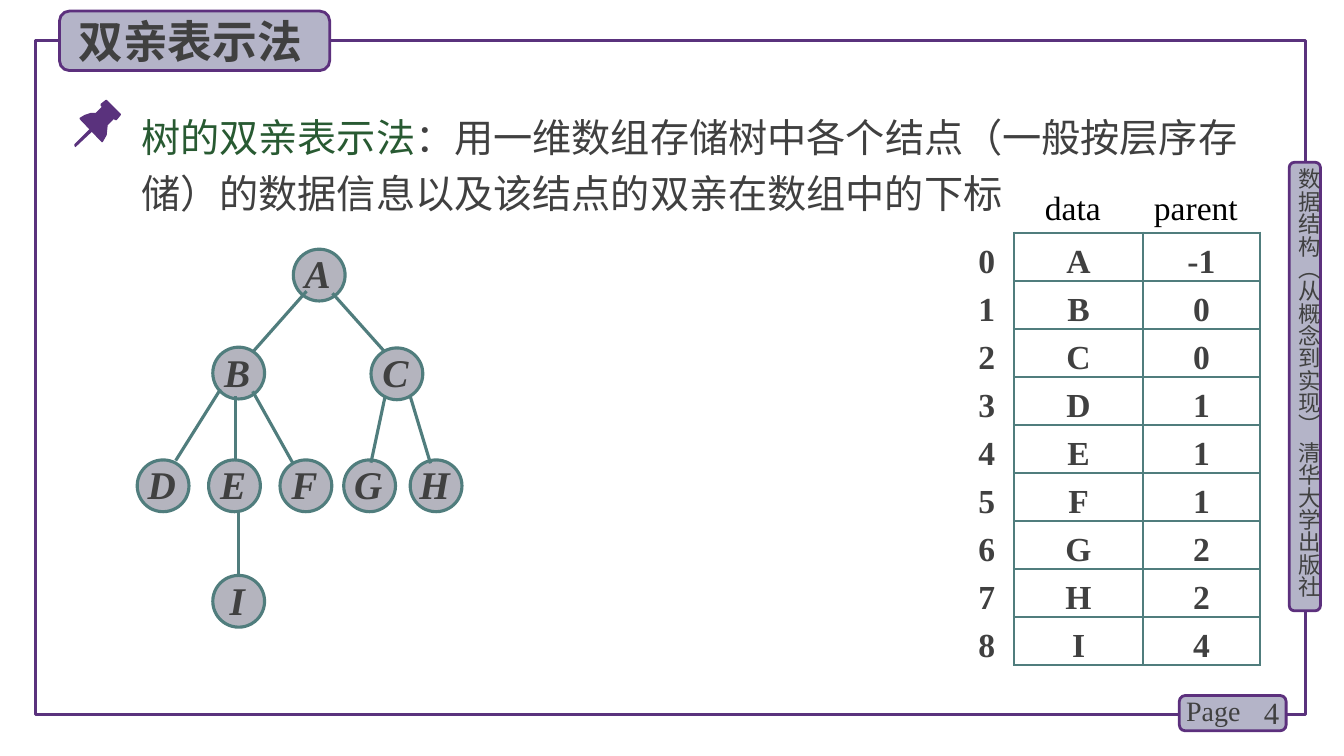
from lxml import etree
from pptx import Presentation
from pptx.dml.color import RGBColor
from pptx.enum.shapes import MSO_CONNECTOR, MSO_SHAPE
from pptx.enum.text import MSO_ANCHOR, PP_ALIGN
from pptx.oxml.ns import qn
from pptx.util import Pt

RECTANGLE, ROUNDED, OVAL = MSO_SHAPE.RECTANGLE, MSO_SHAPE.ROUNDED_RECTANGLE, MSO_SHAPE.OVAL
STRAIGHT = MSO_CONNECTOR.STRAIGHT
TOP, MIDDLE, BOTTOM = MSO_ANCHOR.TOP, MSO_ANCHOR.MIDDLE, MSO_ANCHOR.BOTTOM
LEFT, CENTER, RIGHT = PP_ALIGN.LEFT, PP_ALIGN.CENTER, PP_ALIGN.RIGHT

PURPLE = RGBColor(0x5A, 0x32, 0x7D)
TAB_LINE = RGBColor(0x5C, 0x30, 0x7D)
TAB_FILL = RGBColor(0xB4, 0xB4, 0xC8)
NODE_FILL = RGBColor(0xB4, 0xB4, 0xBE)
TEAL = RGBColor(0x50, 0x7D, 0x7D)
GREEN = RGBColor(0x28, 0x5A, 0x32)
GREY = RGBColor(0x40, 0x40, 0x40)
BLACK = RGBColor(0, 0, 0)
CHINESE, LATIN = "Noto Sans CJK SC", "Times New Roman"
NO_STYLE = "{2D5ABB26-0587-4C30-8999-92F81FD0307C}"

NODE_SIZE = 37
TREE_NODES = {
    "A": (111.5, 0), "B": (54, 70), "C": (167, 70.5),
    "D": (0, 150.5), "E": (51, 150.5), "F": (102, 150.5),
    "G": (147.5, 150.5), "H": (195, 150.5), "I": (54, 233),
}
TREE_EDGES = [
    (121, 30, 82.5, 73.5), (139.5, 31.5, 177, 73.5),
    (59.5, 100, 27.5, 151), (70.5, 105, 70.5, 151), (82.5, 101.5, 111, 152.5),
    (177, 105.5, 167, 152.5), (195, 105, 209.5, 153), (72.5, 188, 72.5, 234),
]
PARENTS = [("A", -1), ("B", 0), ("C", 0), ("D", 1), ("E", 1),
           ("F", 1), ("G", 2), ("H", 2), ("I", 4)]
# Outlines in hundredths of an inch
PIN_HEAD = [(47, 15), (33, 1), (32, 1), (27, 5), (27, 7), (28, 8), (22, 14),
            (17, 14), (11, 16), (6, 19), (6, 20), (28, 43), (29, 43), (33, 36),
            (34, 26), (40, 20), (41, 21), (43, 21), (47, 16)]
PIN_NEEDLE = [(2, 48), (1, 47), (1, 45), (16, 30), (18, 29), (19, 30), (19, 32), (3, 47)]


def style_paragraph(paragraph, size, font_name, color=GREY, bold=False, italic=False, align=LEFT):
    paragraph.alignment = align
    font = paragraph.font
    font.size, font.name, font.bold, font.italic = Pt(size), font_name, bold, italic
    font.color.rgb = color
    defaults = paragraph._p.get_or_add_pPr().find(qn("a:defRPr"))
    etree.SubElement(defaults, qn("a:ea")).set("typeface", font_name)


def set_margins(frame, left, top, right, bottom):
    frame.margin_left, frame.margin_top = Pt(left), Pt(top)
    frame.margin_right, frame.margin_bottom = Pt(right), Pt(bottom)


def add_outlined(slide, preset, box, line_color, line_width, fill=None):
    shape = slide.shapes.add_shape(preset, *map(Pt, box))
    shape.shadow.inherit = False
    shape.line.color.rgb, shape.line.width = line_color, Pt(line_width)
    if fill is None:
        shape.fill.background()
    else:
        shape.fill.solid()
        shape.fill.fore_color.rgb = fill
    return shape


def add_text(slide, box, text, size, font_name, align=LEFT, anchor=TOP):
    shape = slide.shapes.add_textbox(*map(Pt, box))
    frame = shape.text_frame
    frame.word_wrap, frame.vertical_anchor = True, anchor
    frame.text = text
    style_paragraph(frame.paragraphs[0], size, font_name, align=align)
    return shape


def add_tab(slide, box):
    return add_outlined(slide, ROUNDED, box, TAB_LINE, 2, TAB_FILL)


def add_title(slide, box):
    frame = add_tab(slide, box).text_frame
    set_margins(frame, 0, 0, 6, 0)
    frame.vertical_anchor = MIDDLE
    frame.text = "双亲表示法"
    style_paragraph(frame.paragraphs[0], 32, CHINESE, bold=True, align=CENTER)


def add_side_tab(slide, left, top, width, height):
    add_tab(slide, (left, top, width, height))
    label = add_text(slide, (left + 4.3, top + 4.3, 19.4, height + 3),
                     "数据结构（从概念到实现） 清华大学出版社", 16, CHINESE)
    set_margins(label.text_frame, 0, 0, 0, 0)
    label.element.txBody.bodyPr.set("vert", "eaVert")


def add_page_tab(slide, left, top, width, height):
    add_tab(slide, (left, top, width, height))
    add_text(slide, (left + 36, top - 3, 42.5, height + 4), "4", 22, LATIN, RIGHT, MIDDLE)
    label = add_text(slide, (left - 2.2, top - 5, 56, height + 6.5), "Page", 20, LATIN)
    label.text_frame.word_wrap = False


def add_pin(slide, left, top):
    for outline in (PIN_HEAD, PIN_NEEDLE):
        builder = slide.shapes.build_freeform(*outline[0], scale=Pt(0.72))
        builder.add_line_segments(outline[1:], close=True)
        shape = builder.convert_to_shape(Pt(left), Pt(top))
        shape.shadow.inherit = False
        shape.fill.solid()
        shape.fill.fore_color.rgb = PURPLE
        shape.line.fill.background()


def add_definition(slide, left, top, width, height):
    add_pin(slide, left, top)
    frame = add_text(slide, (left + 45.4, top + 0.7, width - 45.4, height),
                     "", 28, CHINESE).text_frame
    set_margins(frame, 3, 3.6, 0, 3.6)
    paragraph = frame.paragraphs[0]
    paragraph.line_spacing = Pt(40)
    term = paragraph.add_run()
    term.text = "树的双亲表示法"
    term.font.color.rgb = GREEN
    paragraph.add_run().text = (
        "：用一维数组存储树中各个结点（一般按层序存储）的数据信息以及该结点的双亲在数组中的下标")


def add_tree(slide, left, top):
    for letter, (x, y) in TREE_NODES.items():
        node = add_outlined(slide, OVAL, (left + x, top + y, NODE_SIZE, NODE_SIZE),
                            TEAL, 2.25, NODE_FILL)
        frame = node.text_frame
        set_margins(frame, 1, 1.5, 3, 3)
        frame.word_wrap, frame.vertical_anchor = False, TOP
        frame.text = letter
        paragraph = frame.paragraphs[0]
        paragraph.line_spacing = 0.8
        style_paragraph(paragraph, 28, LATIN, bold=True, italic=True, align=CENTER)
    for x1, y1, x2, y2 in TREE_EDGES:
        edge = slide.shapes.add_connector(
            STRAIGHT, Pt(left + x1), Pt(top + y1), Pt(left + x2), Pt(top + y2))
        edge.line.color.rgb, edge.line.width = TEAL, Pt(2.25)
        etree.SubElement(edge.element.spPr, qn("a:effectLst"))


def add_borders(cell):
    properties = cell._tc.get_or_add_tcPr()
    for position, side in enumerate(("lnL", "lnR", "lnT", "lnB")):
        border = etree.Element(qn(f"a:{side}"), w=str(Pt(2)))
        fill = etree.SubElement(border, qn("a:solidFill"))
        etree.SubElement(fill, qn("a:srgbClr")).set("val", str(TEAL))
        properties.insert(position, border)


def add_parent_table(slide, left, top, column_widths, header_height, row_height):
    rows = [("", "data", "parent")]
    rows += [(index, *entry) for index, entry in enumerate(PARENTS)]
    height = header_height + row_height * len(PARENTS)
    frame = slide.shapes.add_table(len(rows), len(column_widths), Pt(left), Pt(top),
                                   Pt(sum(column_widths)), Pt(height))
    table = frame.table
    table.first_row = table.horz_banding = False
    frame.element.find(".//" + qn("a:tableStyleId")).text = NO_STYLE
    for column, width in zip(table.columns, column_widths):
        column.width = Pt(width)
    for row_number, values in enumerate(rows):
        header = row_number == 0
        table.rows[row_number].height = Pt(header_height if header else row_height)
        for column_number, value in enumerate(values):
            cell = table.cell(row_number, column_number)
            set_margins(cell, 0, 0, 8 if header else 0, 4 if header else 0)
            cell.vertical_anchor = BOTTOM
            cell.fill.background()
            cell.text = str(value)
            style_paragraph(cell.text_frame.paragraphs[0], 24, LATIN,
                            BLACK if header else GREY, bold=not header, align=CENTER)
            if not header and column_number > 0:
                add_borders(cell)


def main():
    presentation = Presentation()
    presentation.slide_width, presentation.slide_height = Pt(960), Pt(540)
    slide = presentation.slides.add_slide(presentation.slide_layouts[6])
    add_outlined(slide, RECTANGLE, (25.2, 28.8, 907.2, 481.7), PURPLE, 2.25)
    add_side_tab(slide, 920.9, 115.9, 22.3, 320.4)
    add_page_tab(slide, 842.4, 496.8, 76.3, 25.2)
    add_title(slide, (42.5, 7.9, 193, 42.5))
    add_definition(slide, 52.5, 70.6, 833, 85)
    add_tree(slide, 98, 178)
    add_parent_table(slide, 685.4, 130.3, (38.9, 92.2, 83.5), 36, 34.3)
    presentation.save("out.pptx")


if __name__ == "__main__":
    main()
